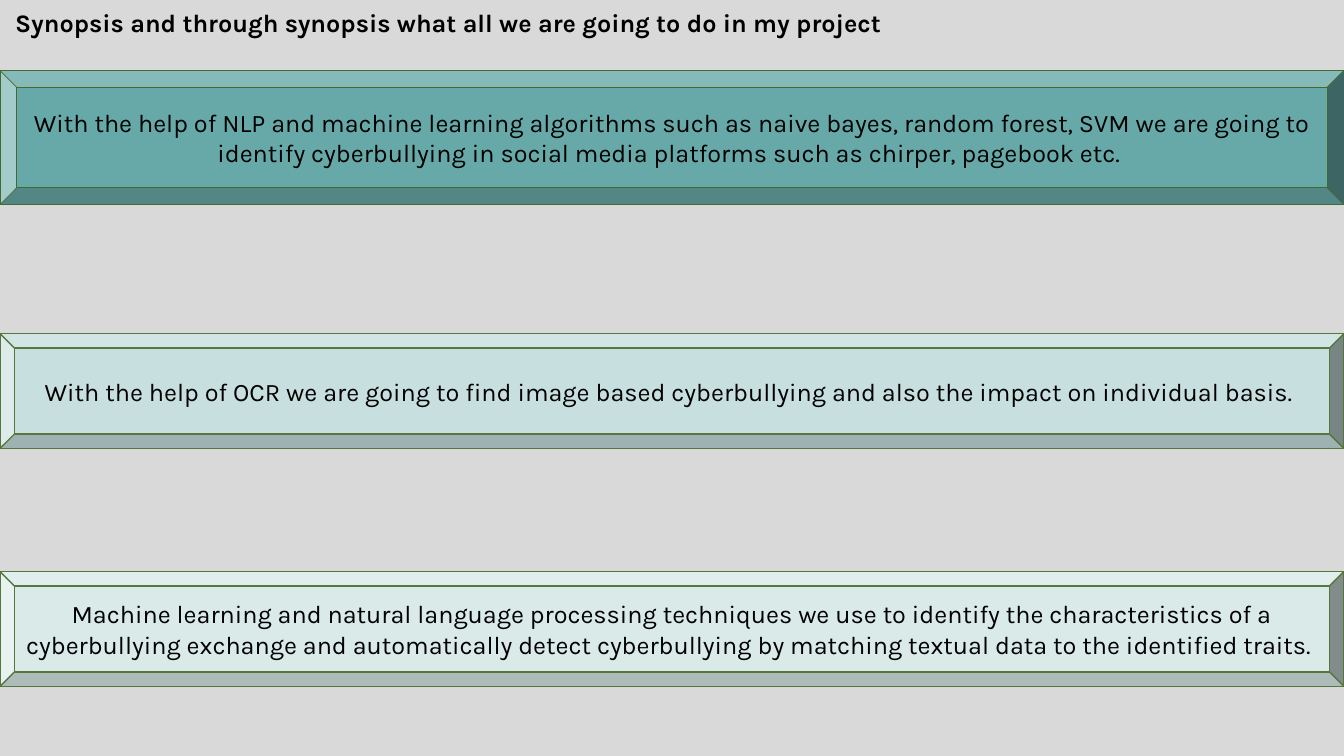
from dataclasses import dataclass

from pptx import Presentation
from pptx.dml.color import RGBColor
from pptx.enum.shapes import MSO_SHAPE as Shape
from pptx.enum.text import MSO_ANCHOR as Anchor, MSO_AUTO_SIZE as AutoSize, PP_ALIGN as Align
from pptx.util import Pt

PX = 9144
WIDTH, HEIGHT = 1333, 750


@dataclass(frozen=True)
class Theme:
    """Colours, font and type size of the slide."""
    background: str = "D9D9D9"
    text: str = "000000"
    font: str = "Karla"
    size: int = 18


THEME = Theme()
TITLE = "Synopsis and through synopsis what all we are going to do in my project"
STEPS = [
    ((0, 70, WIDTH, 133), "67A9A8", "436A2F", 0.5,
     "With the help of NLP and machine learning algorithms such as naive bayes, random forest, SVM "
     "we are going to identify cyberbullying in social media platforms such as chirper, pagebook etc. "),
    ((0, 331, WIDTH, 114), "C7DFDF", "57763C", 1,
     "With the help of OCR we are going to find image based cyberbullying and also the impact on "
     "individual basis. "),
    ((0, 567, WIDTH, 114), "D9EAE9", "57763C", 1,
     "Machine learning and natural language processing techniques we use to identify the "
     "characteristics of a cyberbullying exchange and automatically detect cyberbullying by matching "
     "textual data to the identified traits. "),
]


def apply(target, values):
    """Set each named value on the target."""
    for name, value in values.items():
        setattr(target, name, value)


def write(shape, text, align, frame_format, bold=False):
    """Fill a shape with one formatted paragraph."""
    frame = shape.text_frame
    frame.text = text
    apply(frame, frame_format)
    paragraph = frame.paragraphs[0]
    paragraph.alignment = align
    font = paragraph.runs[0].font
    apply(font, {"name": THEME.font, "size": Pt(THEME.size), "bold": bold})
    font.color.rgb = RGBColor.from_string(THEME.text)


def place_title(slide, box):
    """Move the title placeholder into the box and write the heading."""
    title = slide.shapes.title
    apply(title, dict(zip(("left", "top", "width", "height"), (side * PX for side in box))))
    write(title, TITLE, Align.LEFT, {
        "word_wrap": False,
        "auto_size": AutoSize.SHAPE_TO_FIT_TEXT,
        "vertical_anchor": Anchor.TOP,
    }, bold=True)
    title.text_frame.paragraphs[0].line_spacing = 1.0


def add_step(slide, box, fill, line, line_width, text):
    """Add a bevelled bar that holds one step of the project."""
    bar = slide.shapes.add_shape(Shape.BEVEL, *(side * PX for side in box))
    bar.shadow.inherit = False
    bar.fill.solid()
    bar.fill.fore_color.rgb = RGBColor.from_string(fill)
    bar.line.color.rgb = RGBColor.from_string(line)
    bar.line.width = Pt(line_width)
    write(bar, text, Align.CENTER, {"word_wrap": True, "vertical_anchor": Anchor.MIDDLE})


def build_synopsis(presentation):
    """Add the synopsis slide with its title and steps."""
    slide = presentation.slides.add_slide(presentation.slide_layouts[5])
    background = slide.background.fill
    background.solid()
    background.fore_color.rgb = RGBColor.from_string(THEME.background)
    place_title(slide, (5, 2, 880, 40))
    for step in STEPS:
        add_step(slide, *step)


def main():
    """Build and save the presentation."""
    presentation = Presentation()
    apply(presentation, {"slide_width": WIDTH * PX, "slide_height": HEIGHT * PX})
    build_synopsis(presentation)
    presentation.save("out.pptx")


if __name__ == "__main__":
    main()
